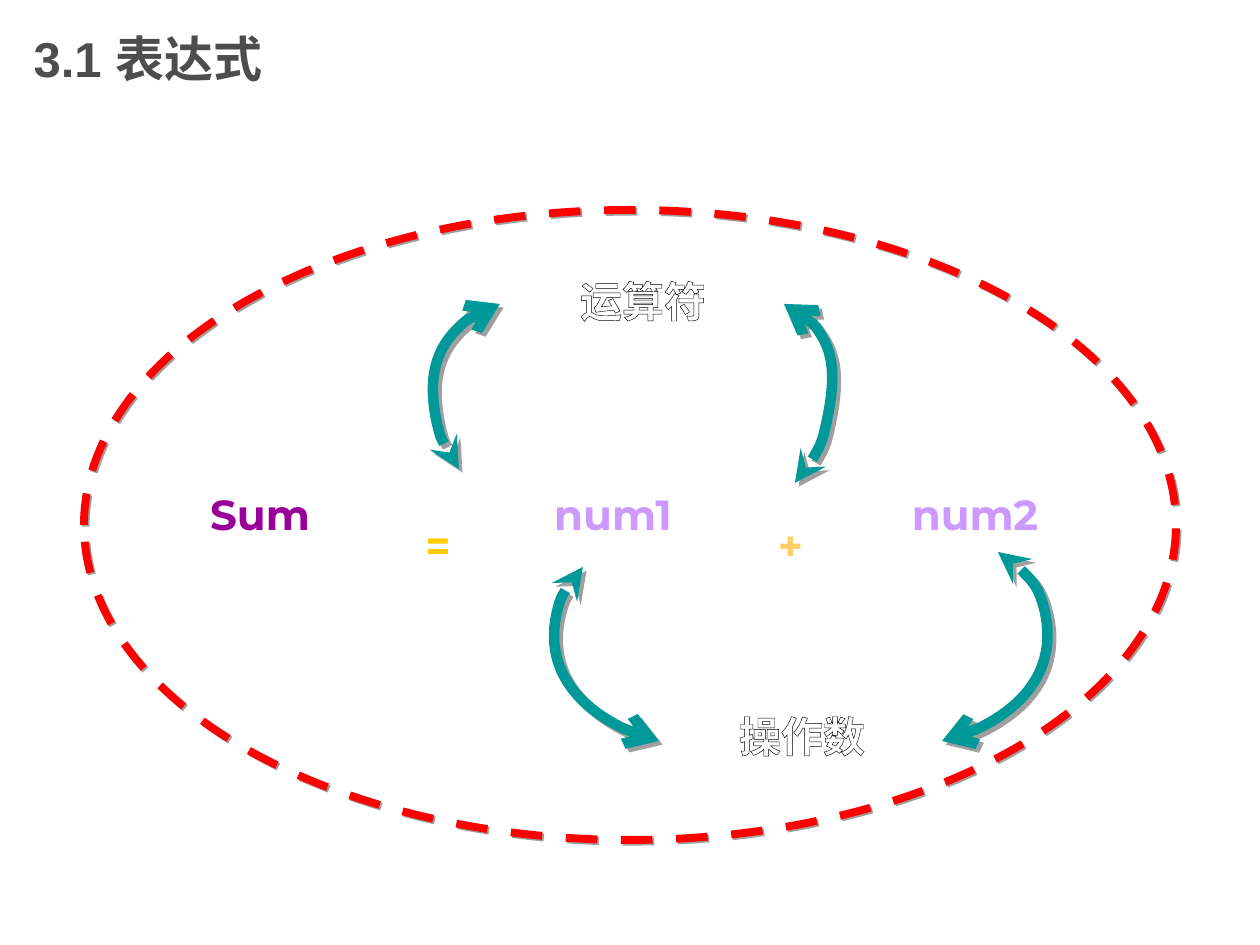
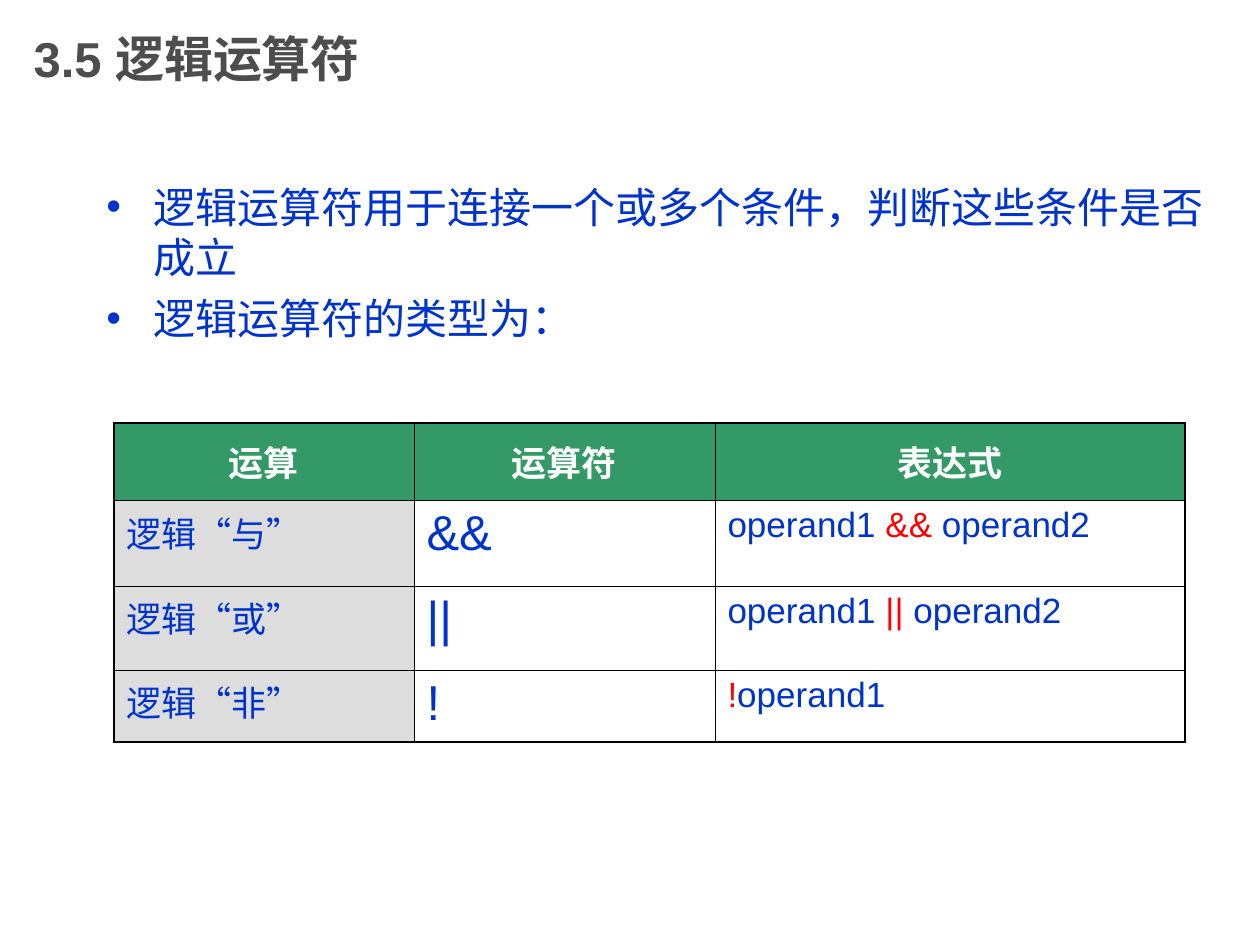
from lxml import etree
from pptx import Presentation
from pptx.dml.color import RGBColor
from pptx.enum.dml import MSO_LINE
from pptx.enum.shapes import MSO_SHAPE
from pptx.enum.text import MSO_ANCHOR, PP_ALIGN
from pptx.oxml.ns import qn
from pptx.util import Pt

# Shared style
EMU_PER_PX = 914400 / 126
COLORS = {
    "title": "4D4D4D", "body": "0033CC", "white": "FFFFFF", "black": "000000",
    "red": "FF0000", "teal": "009999", "shadow": "808080",
    "target": "990099", "assign": "FFCC00", "operand": "CC99FF", "plus": "FFCC66",
    "header": "339966", "row_label": "DDDDDD",
}
SANS, DISPLAY, CJK, SERIF = "Arial", "Montserrat", "Noto Sans CJK SC", "Times New Roman"
THICK, THIN = 1.08, 0.45


def px(n):
    return round(n * EMU_PER_PX)


def rgb(name):
    return RGBColor.from_string(COLORS[name])


def sub(parent, tag, **attrs):
    return etree.SubElement(parent, qn(tag), {k: str(v) for k, v in attrs.items()})


def solid(parent, color):
    return sub(sub(parent, "a:solidFill"), "a:srgbClr", val=COLORS[color])


def add_run(p, text, size, color, font=SANS, bold=False, east_asian=None):
    r = p.add_run()
    r.text = text
    r.font.size, r.font.bold, r.font.name = Pt(size), bold, font
    r.font.color.rgb = rgb(color)
    sub(r._r.get_or_add_rPr(), "a:ea", typeface=east_asian or font)
    return r


def add_titled_slide(prs, title):
    slide = prs.slides.add_slide(prs.slide_layouts[5])
    sp = slide.shapes.title
    sp.left, sp.top, sp.width, sp.height = px(21), px(0), px(945), px(116)
    tf = sp.text_frame
    tf.vertical_anchor = MSO_ANCHOR.MIDDLE
    p = tf.paragraphs[0]
    p.alignment = PP_ALIGN.LEFT
    add_run(p, title, 28, "title", bold=True)
    return slide


# Expression diagram
def add_label(slide, text, x, y, w, h, color, font=DISPLAY, outlined=True):
    tf = slide.shapes.add_textbox(px(x), px(y), px(w), px(h)).text_frame
    tf.word_wrap = False
    p = tf.paragraphs[0]
    p.alignment = PP_ALIGN.CENTER
    r = add_run(p, text, 24, color, font, bold=True)
    if outlined:
        ln = etree.Element(qn("a:ln"), w=str(Pt(0.75)))
        solid(ln, "black")
        r._r.get_or_add_rPr().insert(0, ln)


def add_shadow(sp, distance):
    sp.shadow.inherit = False
    effects = sp._element.spPr.find(qn("a:effectLst"))
    shadow = sub(effects, "a:outerShdw", blurRad=0, dist=Pt(distance), dir=45 * 60000,
                 algn="ctr", rotWithShape=0)
    color = sub(shadow, "a:srgbClr", val=COLORS["shadow"])
    sub(color, "a:alpha", val=75000)


def add_curved_arrow(slide, points):
    """Draw a Bezier chain: a start point, then three points per curve."""
    points = [(px(x), px(y)) for x, y in points]
    builder = slide.shapes.build_freeform(*points[0])
    builder.add_line_segments(points[1:], close=False)
    sp = builder.convert_to_shape()
    path = next(sp._element.iter(qn("a:path")))
    segments = path.findall(qn("a:lnTo"))
    for i in range(0, len(segments), 3):
        curve = sub(path, "a:cubicBezTo")
        for segment in segments[i:i + 3]:
            curve.append(segment[0])
            path.remove(segment)
    sp.fill.background()
    sp.line.color.rgb = rgb("teal")
    sp.line.width = Pt(6)
    ln = sp.line._get_or_add_ln()
    sub(ln, "a:headEnd", type="arrow")
    sub(ln, "a:tailEnd", type="stealth")
    add_shadow(sp, 3)


def add_dashed_ellipse(slide, x, y, w, h):
    sp = slide.shapes.add_shape(MSO_SHAPE.OVAL, px(x), px(y), px(w), px(h))
    sp.fill.background()
    sp.line.color.rgb = rgb("red")
    sp.line.width = Pt(4.5)
    sp.line.dash_style = MSO_LINE.DASH
    add_shadow(sp, 1.4)


# Bullets and table
def add_bullets(slide, lines, x, y, w, h):
    tf = slide.shapes.add_textbox(px(x), px(y), px(w), px(h)).text_frame
    tf.word_wrap = True
    for i, line in enumerate(lines):
        p = tf.add_paragraph() if i else tf.paragraphs[0]
        if i:
            p.space_before = Pt(6)
        pPr = p._p.get_or_add_pPr()
        pPr.set("marL", str(px(47)))
        pPr.set("indent", str(-px(47)))
        sub(sub(pPr, "a:buClr"), "a:srgbClr", val=COLORS["body"])
        sub(pPr, "a:buFont", typeface=SANS)
        sub(pPr, "a:buChar", char="•")
        add_run(p, line, 24, "body")


def set_borders(cell, widths):
    tcPr = cell._tc.get_or_add_tcPr()
    for i, (side, width) in enumerate(zip("LRTB", widths)):
        ln = etree.Element(qn(f"a:ln{side}"), w=str(Pt(width)))
        solid(ln, "black")
        tcPr.insert(i, ln)


def fill_cell(cell, column, text, operator):
    p = cell.text_frame.paragraphs[0]
    if operator is None:
        cell.vertical_anchor = MSO_ANCHOR.MIDDLE
        p.alignment = PP_ALIGN.CENTER
        add_run(p, text, 20, "white", bold=True, east_asian=CJK)
    elif column == 0:
        for part in (text[:2], text[2], text[3], text[4]):
            font = SERIF if part in "“”" else SANS
            add_run(p, part, 20, "body", font, east_asian=CJK)
    elif column == 1:
        add_run(p, text, 28, "body")
    else:
        for part in filter(None, text.partition(operator)):
            add_run(p, part, 20, "red" if part == operator else "body")


def add_operator_table(slide, rows, x, y, col_widths, row_heights):
    n_rows, n_cols = len(rows), len(col_widths)
    table = slide.shapes.add_table(n_rows, n_cols, px(x), px(y), px(sum(col_widths)),
                                   px(sum(row_heights))).table
    table.first_row = table.horz_banding = False
    for column, width in zip(table.columns, col_widths):
        column.width = px(width)
    for row, height in zip(table.rows, row_heights):
        row.height = px(height)
    for i, texts in enumerate(rows):
        for j, text in enumerate(texts):
            cell = table.cell(i, j)
            fill_cell(cell, j, text, texts[1] if i else None)
            cell.fill.solid()
            fill = "header" if i == 0 else "row_label" if j == 0 else "white"
            cell.fill.fore_color.rgb = rgb(fill)
            outer = (j == 0, j == n_cols - 1, i == 0, i == n_rows - 1)
            set_borders(cell, [THICK if edge else THIN for edge in outer])


def build_expression_slide(prs):
    slide = add_titled_slide(prs, "3.1 表达式")
    for text, x, color in (("Sum", 180, "target"), ("num1", 533, "operand"),
                           ("num2", 895, "operand")):
        add_label(slide, text, x, 482, 160, 72, color)
    for text, x, w, color in (("=", 395, 86, "assign"), ("+", 752, 77, "plus")):
        add_label(slide, text, x, 513, w, 47, color, outlined=False)
    for text, x, y in (("操作数", 669, 704), ("运算符", 510, 269)):
        add_label(slide, text, x, y, 266, 72, "white", CJK)

    # Arrows from each term name to its symbols
    for points in (
        [(659, 741), (591, 726), (544, 668), (557, 612), (561, 596), (570, 580), (583, 567)],
        [(942, 741), (1012, 726), (1057, 668), (1045, 612), (1039, 587), (1022, 566), (998, 552)],
        [(500, 304), (452, 314), (425, 368), (437, 423), (441, 440), (449, 456), (459, 469)],
        [(784, 304), (820, 311), (839, 363), (827, 420), (822, 445), (810, 467), (795, 483)],
    ):
        add_curved_arrow(slide, points)
    add_dashed_ellipse(slide, 84, 210, 1092, 630)


def build_logic_slide(prs):
    slide = add_titled_slide(prs, "3.5 逻辑运算符")
    add_operator_table(slide, [
        ("运算", "运算符", "表达式"),
        ("逻辑“与”", "&&", "operand1 && operand2"),
        ("逻辑“或”", "||", "operand1 || operand2"),
        ("逻辑“非”", "!", "!operand1"),
    ], 114, 423, (300, 301, 470), (77, 86, 84, 72))
    add_bullets(slide, ["逻辑运算符用于连接一个或多个条件，判断这些条件是否成立",
                        "逻辑运算符的类型为："], 94, 175, 1134, 218)


def main():
    prs = Presentation()
    prs.slide_width, prs.slide_height = px(1260), px(945)
    build_expression_slide(prs)
    build_logic_slide(prs)
    prs.save("out.pptx")


if __name__ == "__main__":
    main()
